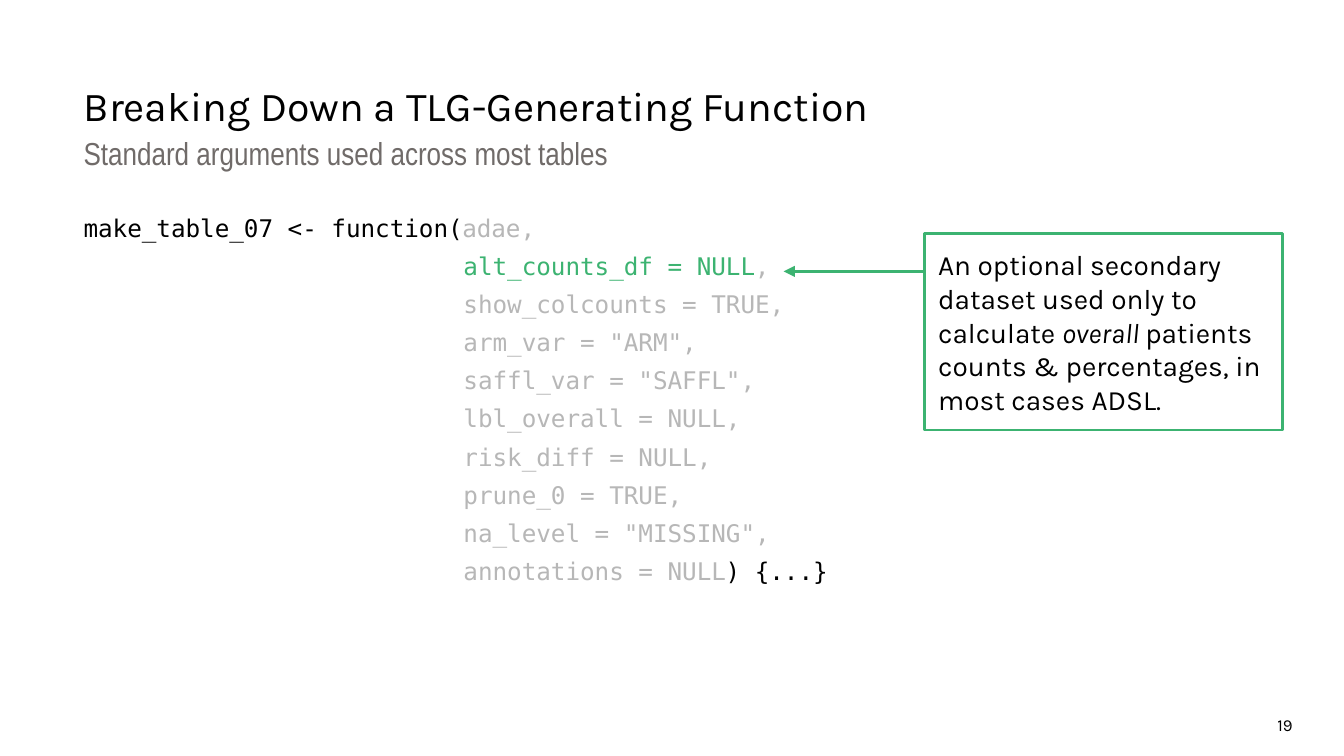
from pptx import Presentation, util as u
from pptx.dml.color import RGBColor
from pptx.enum import shapes, text
from pptx.oxml import parse_xml
from pptx.oxml.ns import nsdecls

THEME = {
    "title": {"name": "Karla", "size": u.Pt(22), "color": "000000"},
    "subtitle": {"name": "Arial Narrow", "size": u.Pt(17), "color": "706B69"},
    "code": {"name": "DejaVu Sans Mono", "size": u.Pt(13), "color": "000000"},
    "muted": {"name": "DejaVu Sans Mono", "size": u.Pt(13), "color": "B7B7B7"},
    "focus": {"name": "DejaVu Sans Mono", "size": u.Pt(13), "color": "3CB371"},
    "note": {"name": "Karla", "size": u.Pt(15), "color": "000000", "italic": False},
    "stress": {"name": "Karla", "size": u.Pt(15), "color": "000000", "italic": True},
    "number": {"name": "Karla", "size": u.Pt(9), "color": "000000"},
    "accent": RGBColor.from_string("3CB371"),
}


def add_run(p, words, style):
    r = p.add_run()
    r.text = words
    for key, value in THEME[style].items():
        if key == "color":
            r.font.color.rgb = RGBColor.from_string(value)
        else:
            setattr(r.font, key, value)


def set_frame(sp, anchor, left, top, right, bottom):
    tf = sp.text_frame
    values = {"word_wrap": True, "vertical_anchor": anchor,
              "margin_left": u.Cm(left), "margin_top": u.Cm(top),
              "margin_right": u.Cm(right), "margin_bottom": u.Cm(bottom)}
    for key, value in values.items():
        setattr(tf, key, value)
    return tf


prs = Presentation()
prs.slide_width, prs.slide_height = u.Cm(25.4), u.Cm(14.29)
s = prs.slides.add_slide(prs.slide_layouts[6])
TOP, MIDDLE = text.MSO_ANCHOR.TOP, text.MSO_ANCHOR.MIDDLE
LEFT = u.Cm(1.58)

# Title
sp = s.shapes.add_textbox(LEFT, u.Cm(1.19), u.Cm(20.65), u.Cm(1.07))
tf = set_frame(sp, TOP, 0, 0.34, 0.25, 0)
add_run(tf.paragraphs[0], "Breaking Down a TLG-Generating Function", "title")

# Subtitle
sp = s.shapes.add_textbox(LEFT, u.Cm(2.46), u.Cm(20.65), u.Cm(0.89))
tf = set_frame(sp, MIDDLE, 0, 0, 0.25, 0.05)
p = tf.paragraphs[0]
p.line_spacing = 1.05
add_run(p, "Standard arguments used across most tables", "subtitle")

# Function signature: arguments line up after the opening bracket
code_lines = [
    [("make_table_07 <- function(", "code"), ("adae,", "muted")],
    [("alt_counts_df = NULL", "focus"), (",", "muted")],
    [("show_colcounts = TRUE,", "muted")],
    [('arm_var = "ARM",', "muted")],
    [('saffl_var = "SAFFL",', "muted")],
    [("lbl_overall = NULL,", "muted")],
    [("risk_diff = NULL,", "muted")],
    [("prune_0 = TRUE,", "muted")],
    [('na_level = "MISSING",', "muted")],
    [("annotations = NULL", "muted"), (") {...}", "code")],
]
sp = s.shapes.add_textbox(LEFT, u.Cm(4.01), u.Cm(22.86), u.Cm(9.35))
tf = set_frame(sp, TOP, 0, 0, 0, 0)
for i, line in enumerate(code_lines):
    p = tf.add_paragraph() if i else tf.paragraphs[0]
    p.line_spacing, p.space_before = 1.05, u.Pt(4)
    if i:
        pPr = p._p.get_or_add_pPr()
        pPr.set("marL", str(u.Cm(7.18)))
        pPr.set("indent", "0")
    for words, style in line:
        add_run(p, words, style)

# Callout
sp = s.shapes.add_shape(shapes.MSO_SHAPE.RECTANGLE,
                        u.Cm(17.48), u.Cm(4.42), u.Cm(6.76), u.Cm(3.71))
sp.shadow.inherit = False
sp.fill.background()
sp.line.color.rgb, sp.line.width = THEME["accent"], u.Pt(1.5)
tf = set_frame(sp, MIDDLE, 0.25, 0.25, 0.25, 0.25)
tf.auto_size = text.MSO_AUTO_SIZE.SHAPE_TO_FIT_TEXT
p = tf.paragraphs[0]
p.alignment = text.PP_ALIGN.LEFT
add_run(p, "An optional secondary dataset used only to calculate ", "note")
add_run(p, "overall ", "stress")
add_run(p, "patients counts & percentages, in most cases ADSL.", "note")

# Arrow from the callout to the highlighted argument
arrow = s.shapes.add_connector(shapes.MSO_CONNECTOR.STRAIGHT,
                               u.Cm(17.48), u.Cm(5.13), u.Cm(14.81), u.Cm(5.13))
arrow.line.color.rgb, arrow.line.width = THEME["accent"], u.Pt(1.5)
arrow.line._get_or_add_ln().append(
    parse_xml(f'<a:tailEnd {nsdecls("a")} type="triangle"/>'))
arrow._element.spPr.append(parse_xml(f'<a:effectLst {nsdecls("a")}/>'))

# Slide number
sp = s.shapes.add_textbox(u.Cm(22.91), u.Cm(13.23), u.Cm(1.52), u.Cm(0.71))
tf = set_frame(sp, TOP, 0.25, 0.28, 0, 0)
p = tf.paragraphs[0]
p.alignment = text.PP_ALIGN.RIGHT
add_run(p, "19", "number")

prs.save("out.pptx")
